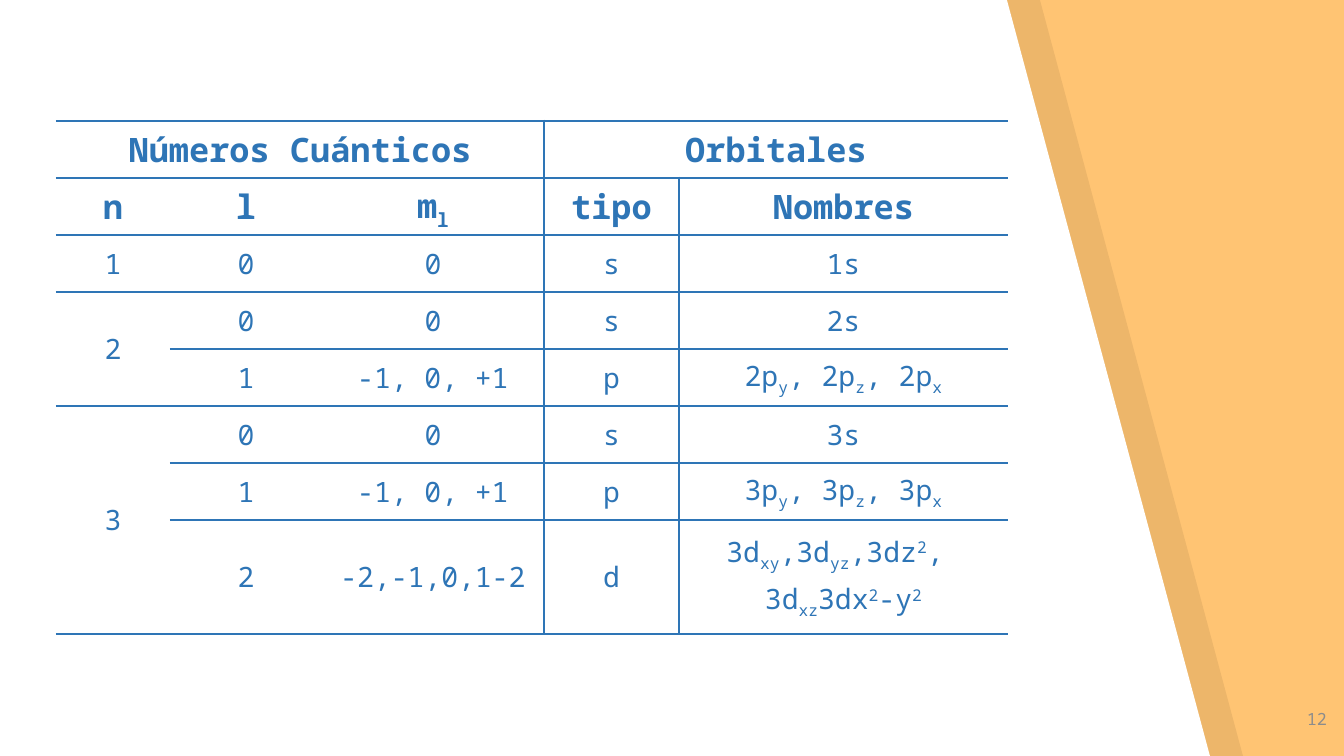
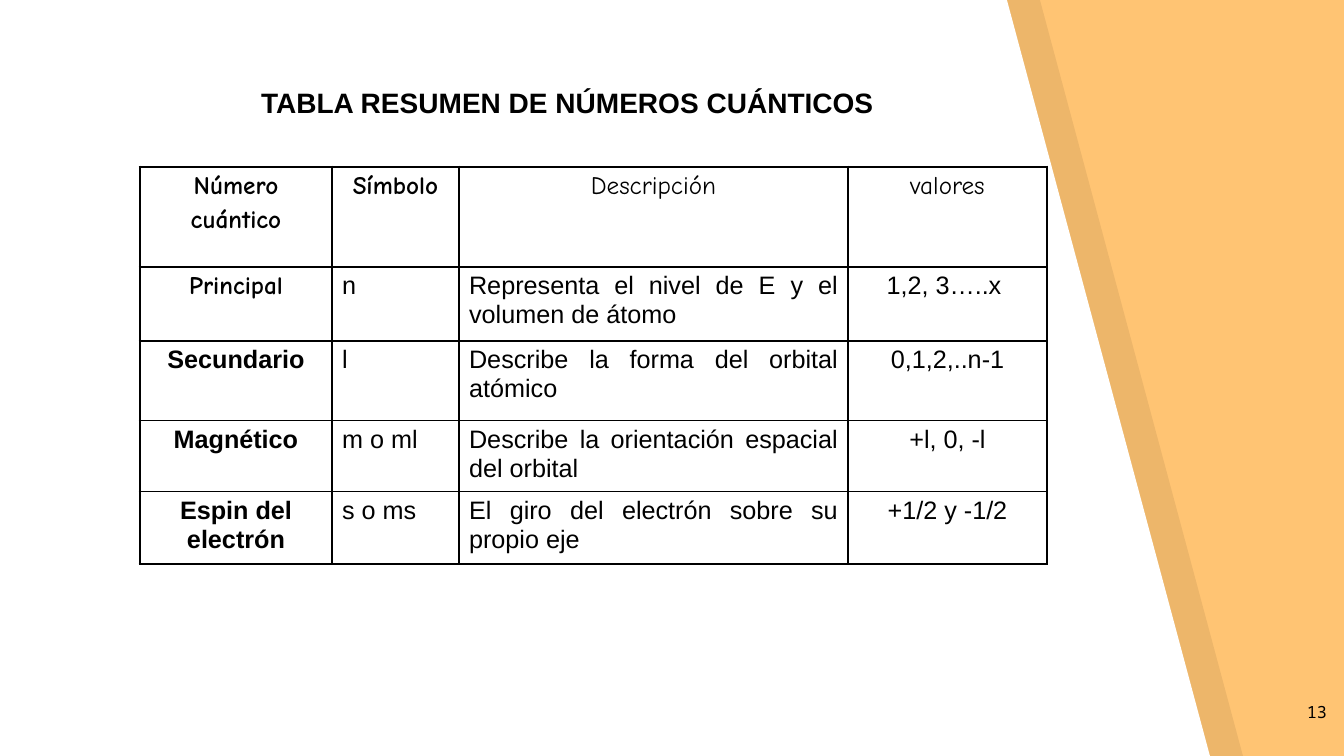
from lxml import etree
from pptx import Presentation
from pptx import util as u
from pptx.dml.color import RGBColor
from pptx.enum import text
from pptx.oxml.ns import qn

PX = 914400 / 100.8
COLOURS = {"background": "FFC473", "page": "FFFFFF", "shade": "000000",
           "blue": "2E75B6", "black": "000000", "grey": "8C8C8C"}
MONO, SANS, COMIC = "Noto Sans Mono", "Arial", "Comic Neue"
CENTER, RIGHT = text.PP_ALIGN.CENTER, text.PP_ALIGN.RIGHT
LEFT, JUSTIFY = text.PP_ALIGN.LEFT, text.PP_ALIGN.JUSTIFY
TOP, MIDDLE = text.MSO_ANCHOR.TOP, text.MSO_ANCHOR.MIDDLE
NO_GRID = "{2D5ABB26-0587-4C30-8999-92F81FD0307C}"
BASELINES = {"_": "-25000", "^": "30000"}

BANDS = [("shade", 33, 7), ("page", 0, 100)]
BAND_OUTLINE = [(0, 0), (0, 756), (1210, 756), (1007, 0)]

# "|" separates runs; "_" and "^" open a subscript or superscript run.
ORBITALS = {
    "box": (56, 121),
    "columns": [114, 152, 222, 135, 329],
    "rows": [57] * 7 + [114],
    "merges": [(0, 0, 0, 2), (0, 3, 0, 4), (3, 0, 4, 0), (5, 0, 7, 0)],
    "colour": "blue",
    "anchor": MIDDLE,
    "across": {0: (2.25, 0), 1: (2.25, 0), 2: (2.25, 0), 3: (1, 0), 4: (1, 1),
               5: (1, 0), 6: (1, 1), 8: (2.25, 0)},
    "down": {3: (2.25, 0), 4: (2.25, 1)},
    "cells": [
        ["Números Cuánticos", "", "", "Orbitales", ""],
        ["n", "l", "m|_l", "tipo", "Nombres"],
        ["1", "0", "0", "s", "1s"],
        ["2", "0", "0", "s", "2s"],
        ["", "1", "-1, 0, +1", "p", "2p|_y|, 2p|_z|, 2p|_x"],
        ["3", "0", "0", "s", "3s"],
        ["", "1", "-1, 0, +1", "p", "3p|_y|, 3p|_z|, 3p|_x"],
        ["", "2", "-2,-1,0,1-2", "d",
         "3d|_xy|,3d|_yz|,3dz|^2|, \n3d|_xz|3dx|^2|-y|^2"],
    ],
}
SUMMARY = {
    "box": (140, 167),
    "columns": [192, 127, 389, 199],
    "rows": [100, 74, 80, 71, 72],
    "merges": [],
    "colour": "black",
    "anchor": TOP,
    "across": {0: (2.25, 0), 1: (1, 0), 2: (1, 0), 3: (1, 0), 4: (1, 0), 5: (2.25, 0)},
    "down": {0: (2.25, 0), 1: (1, 0), 2: (1, 0), 3: (1, 0), 4: (2.25, 0)},
    "cells": [
        ["Número\ncuántico", "Símbolo", "Descripción", "valores"],
        ["Principal", "n", "Representa el nivel de E y el volumen de átomo", "1,2, 3…..x "],
        ["Secundario", "l", "Describe la forma del orbital atómico", "0,1,2,..n-1"],
        ["Magnético", "m o ml", "Describe la orientación espacial del orbital", "+l, 0, -l"],
        ["Espin del electrón", "s o ms", "El giro del electrón sobre su propio eje", "+1/2 y -1/2"],
    ],
}
SUMMARY_TITLE = "TABLA RESUMEN DE NÚMEROS CUÁNTICOS"


def px(length):
    return u.Emu(round(length * PX))


def rgb(name):
    return RGBColor.from_string(COLOURS[name])


def write_text(frame, content, font=SANS, size=18, colour="black", bold=False, align=LEFT):
    for index, line in enumerate(content.split("\n")):
        paragraph = frame.add_paragraph() if index else frame.paragraphs[0]
        paragraph.alignment = align
        paragraph.space_before = u.Pt(size / 5 if index else 0)
        for part in line.split("|"):
            baseline = BASELINES.get(part[:1])
            run = paragraph.add_run()
            run.text = part[1:] if baseline else part
            run.font.name, run.font.size, run.font.bold = font, u.Pt(size), bold
            run.font.color.rgb = rgb(colour)
            if baseline:
                run._r.get_or_add_rPr().set("baseline", baseline)


def add_bands(slide, master):
    master.background.fill.solid()
    master.background.fill.fore_color.rgb = rgb("background")
    for index, (colour, shift, opacity) in enumerate(BANDS):
        points = [(x + shift, y) for x, y in BAND_OUTLINE]
        builder = slide.shapes.build_freeform(*points[0], scale=PX)
        builder.add_line_segments(points[1:], close=True)
        band = builder.convert_to_shape()
        band.shadow.inherit = False
        band.line.fill.background()
        band.fill.solid()
        band.fill.fore_color.rgb = rgb(colour)
        if opacity < 100:
            tint = band.element.spPr.find(qn("a:solidFill"))[0]
            etree.SubElement(tint, qn("a:alpha"), val=str(opacity * 1000))
        band.element.nvSpPr.cNvPr.set("id", str(101 + index))
        master.shapes.element.insert(2 + index, band.element)


def add_page_number(slide, number, top, colour):
    box = slide.shapes.add_textbox(px(1256), px(top), px(81), px(57))
    frame = box.text_frame
    frame.word_wrap = True
    frame.margin_left = frame.margin_right = px(10)
    frame.margin_top = frame.margin_bottom = px(10)
    write_text(frame, number, font=MONO, size=12, colour=colour, align=RIGHT)


def add_borders(cell, row, column, data):
    height = cell.span_height if cell.is_merge_origin else 1
    width = cell.span_width if cell.is_merge_origin else 1
    edges = [("a:lnL", "down", column, row), ("a:lnR", "down", column + width, row),
             ("a:lnT", "across", row, column), ("a:lnB", "across", row + height, column)]
    properties = cell._tc.get_or_add_tcPr()
    for tag, direction, position, along in edges:
        weight, start = data[direction].get(position, (0, 0))
        if weight and along >= start:
            line = etree.SubElement(properties, qn(tag), w=str(u.Pt(weight)))
            fill = etree.SubElement(line, qn("a:solidFill"))
            etree.SubElement(fill, qn("a:srgbClr"), val=COLOURS[data["colour"]])


def add_grid(slide, data, cell_format):
    widths, heights = data["columns"], data["rows"]
    frame = slide.shapes.add_table(len(heights), len(widths), *map(px, data["box"]),
                                   px(sum(widths)), px(sum(heights)))
    table = frame.table
    table._tbl.tblPr.find(qn("a:tableStyleId")).text = NO_GRID
    table.first_row = table.horz_banding = False
    for column, width in zip(table.columns, widths):
        column.width = px(width)
    for row, height in zip(table.rows, heights):
        row.height = px(height)
    for top, left, bottom, right in data["merges"]:
        table.cell(top, left).merge(table.cell(bottom, right))
    for row, contents in enumerate(data["cells"]):
        for column, content in enumerate(contents):
            cell = table.cell(row, column)
            cell.vertical_anchor = data["anchor"]
            add_borders(cell, row, column, data)
            cell.fill.background()
            if content:
                write_text(cell.text_frame, content, colour=data["colour"],
                           **cell_format(row, column))


def orbital_format(row, column):
    heading = row < 2
    return {"font": MONO, "size": 24 if heading else 20, "bold": heading, "align": CENTER}


def summary_format(row, column):
    comic = row == 0 or (row, column) == (1, 0)
    align = CENTER if row == 0 else (CENTER, LEFT, JUSTIFY, CENTER)[column]
    bold = column == 0 or (row, column) == (0, 1)
    return {"font": COMIC if comic else SANS, "bold": bold, "align": align}


def add_title(slide, content):
    title = slide.shapes.title
    title.left, title.top, title.width, title.height = map(px, (251, 81, 723, 43))
    frame = title.text_frame
    frame.auto_size = text.MSO_AUTO_SIZE.NONE
    frame.vertical_anchor = MIDDLE
    write_text(frame, content, size=20, bold=True)


def main():
    presentation = Presentation()
    presentation.slide_width, presentation.slide_height = px(1344), px(756)
    title_only, blank = presentation.slide_layouts[5], presentation.slide_layouts[6]

    slide = presentation.slides.add_slide(blank)
    add_bands(slide, presentation.slide_master)
    add_page_number(slide, "12", 699, "grey")
    add_grid(slide, ORBITALS, orbital_format)

    slide = presentation.slides.add_slide(title_only)
    add_title(slide, SUMMARY_TITLE)
    add_page_number(slide, "13", 692, "black")
    add_grid(slide, SUMMARY, summary_format)

    presentation.save("out.pptx")


if __name__ == "__main__":
    main()
